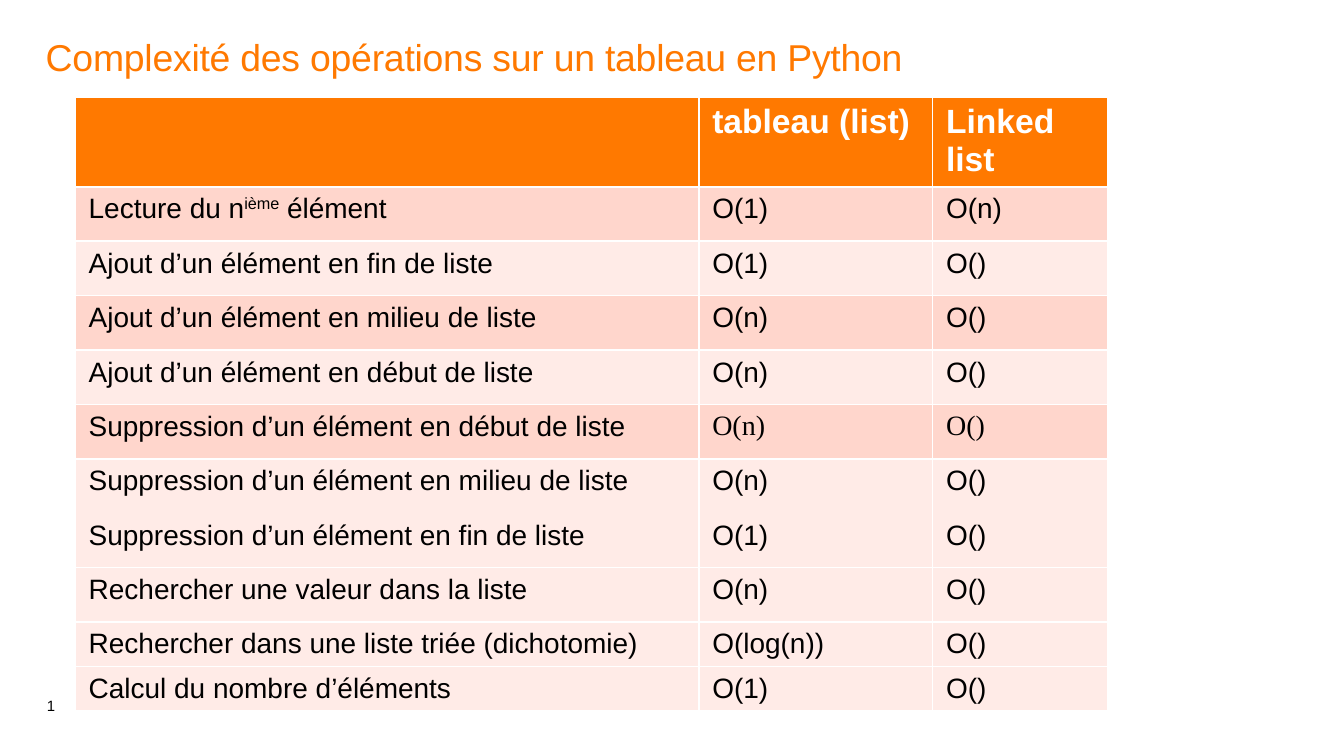
from typing import NamedTuple

from lxml.etree import SubElement
from pptx import Presentation
from pptx.dml.color import RGBColor
from pptx.enum.text import MSO_ANCHOR
from pptx.oxml.ns import qn
from pptx.util import Inches, Pt

ORANGE = RGBColor(0xFF, 0x79, 0x00)
DARK_BAND = RGBColor(0xFF, 0xD6, 0xCC)
LIGHT_BAND = RGBColor(0xFF, 0xEB, 0xE7)
WHITE = RGBColor(0xFF, 0xFF, 0xFF)
BLACK = RGBColor(0x00, 0x00, 0x00)

SANS = "Arial"
SERIF = "Times New Roman"
BORDER_WIDTH = Pt(0.96)
ALL_SIDES = "LRTB"


class TextBox(NamedTuple):
    text: str
    left: float
    top: float
    width: float
    height: float
    size: float
    color: RGBColor
    line_spacing: float
    anchor: MSO_ANCHOR = MSO_ANCHOR.TOP
    left_margin: float = 0
    space_after: float = 0
    character_spacing: int = 0


class Operation(NamedTuple):
    name: str  # the part between bars is superscript
    array_cost: str
    linked_cost: str = "O()"
    fill: RGBColor = LIGHT_BAND
    cost_font: str = SANS
    borders: str = ALL_SIDES
    height: float = 3.24 / 8


TEXT_BOXES = [
    TextBox("1", 0.34, 4.96, 0.3, 0.36, 8, BLACK, 0.85,
            MSO_ANCHOR.BOTTOM, left_margin=0.01, space_after=12),
    TextBox("Complexité des opérations sur un tableau en Python",
            0.34, 0.29, 9.31, 0.81, 20, ORANGE, 0.9, character_spacing=-15),
]

HEADINGS = ["", "tableau (list)", "Linked list"]
HEADER_HEIGHT = 0.66
COLUMN_WIDTHS = [4.64, 1.74, 1.3]

OPERATIONS = [
    Operation("Lecture du n|ième| élément", "O(1)", "O(n)", fill=DARK_BAND),
    Operation("Ajout d’un élément en fin de liste", "O(1)"),
    Operation("Ajout d’un élément en milieu de liste", "O(n)", fill=DARK_BAND),
    Operation("Ajout d’un élément en début de liste", "O(n)"),
    Operation("Suppression d’un élément en début de liste", "O(n)",
              fill=DARK_BAND, cost_font=SERIF),
    Operation("Suppression d’un élément en milieu de liste", "O(n)", borders="LRT"),
    Operation("Suppression d’un élément en fin de liste", "O(1)", borders="LRB"),
    Operation("Rechercher une valeur dans la liste", "O(n)"),
    Operation("Rechercher dans une liste triée (dichotomie)", "O(log(n))", height=0.33),
    Operation("Calcul du nombre d’éléments", "O(1)", height=0.33),
]


def format_run(run, size: float, color: RGBColor, font: str = SANS,
               bold: bool = False) -> None:
    run.font.name = font
    run.font.size = Pt(size)
    run.font.bold = bold
    run.font.color.rgb = color


def add_text_box(slide, box: TextBox) -> None:
    shape = slide.shapes.add_textbox(
        Inches(box.left), Inches(box.top), Inches(box.width), Inches(box.height))
    frame = shape.text_frame
    frame.word_wrap = True
    frame.vertical_anchor = box.anchor
    frame.margin_left = Inches(box.left_margin)
    frame.margin_right = frame.margin_top = frame.margin_bottom = 0
    frame.text = box.text
    paragraph = frame.paragraphs[0]
    paragraph.line_spacing = box.line_spacing
    paragraph.space_after = Pt(box.space_after)
    run = paragraph.runs[0]
    format_run(run, box.size, box.color)
    if box.character_spacing:
        run._r.get_or_add_rPr().set("spc", str(box.character_spacing))


def set_borders(cell, sides: str) -> None:
    properties = cell._tc.get_or_add_tcPr()
    for side in ALL_SIDES:
        line = SubElement(properties, qn(f"a:ln{side}"), w=str(BORDER_WIDTH))
        if side in sides:
            fill = SubElement(line, qn("a:solidFill"))
            SubElement(fill, qn("a:srgbClr"), val=str(WHITE))
        else:
            SubElement(line, qn("a:noFill"))


def fill_cell(cell, text: str, fill: RGBColor, size: float, color: RGBColor,
              font: str = SANS, bold: bool = False, borders: str = ALL_SIDES) -> None:
    set_borders(cell, borders)
    cell.margin_bottom = Inches(0.02)
    cell.fill.solid()
    cell.fill.fore_color.rgb = fill
    if not text:
        return
    paragraph = cell.text_frame.paragraphs[0]
    for index, part in enumerate(text.split("|")):
        run = paragraph.add_run()
        run.text = part
        format_run(run, size, color, font, bold)
        if index % 2:
            run._r.get_or_add_rPr().set("baseline", "33000")


def add_complexity_table(slide) -> None:
    heights = [HEADER_HEIGHT] + [operation.height for operation in OPERATIONS]
    table = slide.shapes.add_table(
        len(heights), len(COLUMN_WIDTHS), Inches(0.56), Inches(0.72),
        Inches(sum(COLUMN_WIDTHS)), Inches(sum(heights))).table
    table.horz_banding = False
    for column, width in zip(table.columns, COLUMN_WIDTHS):
        column.width = Inches(width)
    for row, height in zip(table.rows, heights):
        row.height = Inches(height)

    # Header row
    for column, heading in enumerate(HEADINGS):
        fill_cell(table.cell(0, column), heading, ORANGE, 18, WHITE, bold=True)

    # One row per operation
    for row, operation in enumerate(OPERATIONS, start=1):
        texts = (operation.name, operation.array_cost, operation.linked_cost)
        for column, text in enumerate(texts):
            font = operation.cost_font if column else SANS
            fill_cell(table.cell(row, column), text, operation.fill, 15, BLACK,
                      font, borders=operation.borders)


def main() -> None:
    presentation = Presentation()
    # Widescreen, 16 to 9
    presentation.slide_width = Inches(10)
    presentation.slide_height = Inches(10 * 9 / 16)
    slide = presentation.slides.add_slide(presentation.slide_layouts[6])

    # Slide number and title
    for box in TEXT_BOXES:
        add_text_box(slide, box)

    add_complexity_table(slide)
    presentation.save("out.pptx")


if __name__ == "__main__":
    main()
